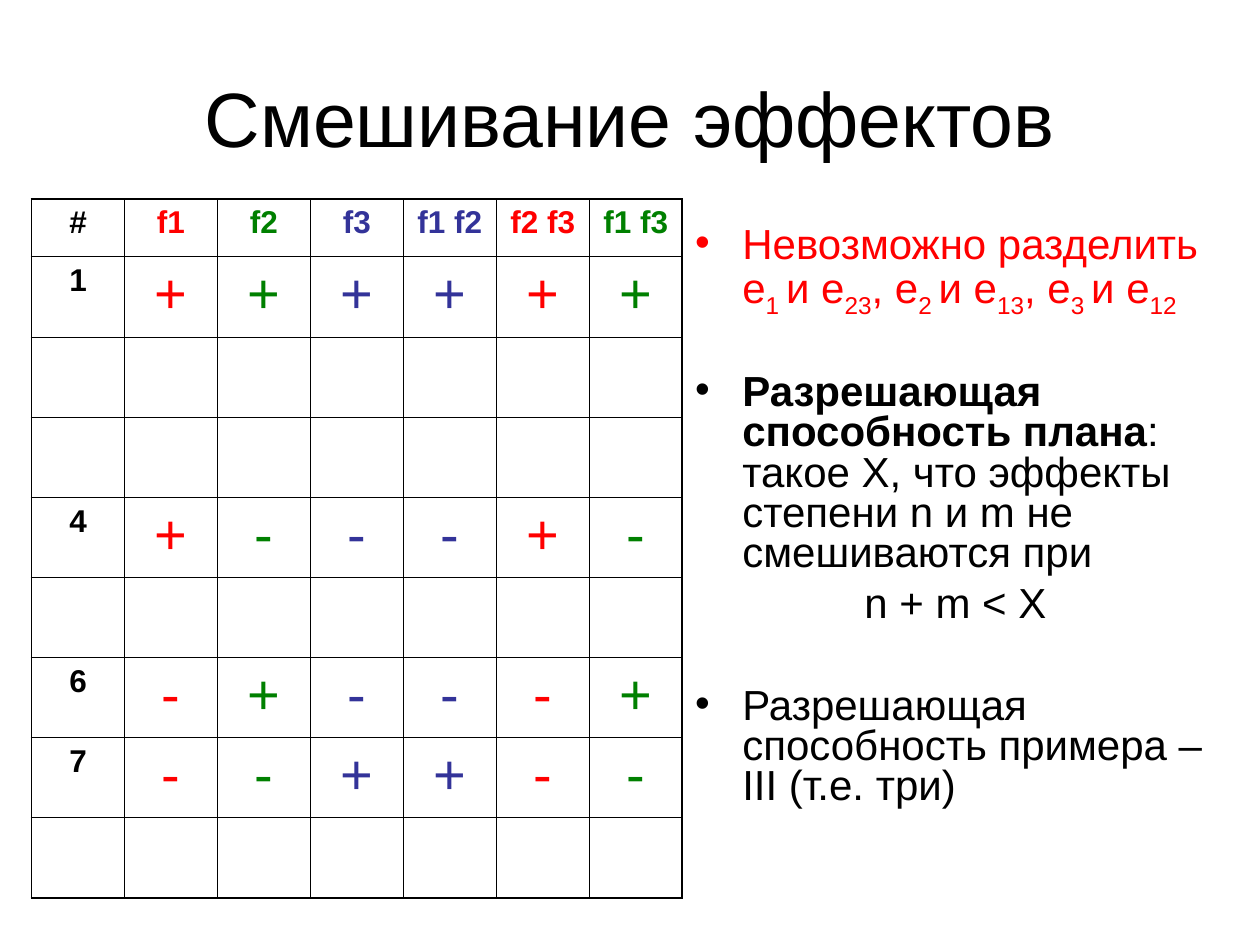
from lxml import etree
from pptx import Presentation
from pptx.dml.color import RGBColor
from pptx.enum import text
from pptx.oxml import ns
from pptx.util import Pt

FONT = "Arial"
BLACK, RED, GREEN, BLUE = "000000", "FF0000", "008000", "333399"

TITLE = "Смешивание эффектов"
COLUMN_COLORS = [BLACK, RED, GREEN, BLUE, BLUE, RED, GREEN]
BLANK = [""] * 7
PLAN = [
    ["#", "f1", "f2", "f3", "f1 f2", "f2 f3", "f1 f3"],
    ["1", *"++++++"],
    BLANK,
    BLANK,
    ["4", *"+---+-"],
    BLANK,
    ["6", *"-+---+"],
    ["7", *"--++--"],
    BLANK,
]
# (bulleted, colour, space before, [(words, style)])
NOTES = [
    (True, RED, 0, [
        ("Невозможно разделить e", ""), ("1 ", "sub"), ("и e", ""), ("23", "sub"),
        (", e", ""), ("2 ", "sub"), ("и e", ""), ("13", "sub"),
        (", e", ""), ("3 ", "sub"), ("и e", ""), ("12", "sub")]),
    (True, BLACK, 35, [
        ("Разрешающая способность плана", "bold"),
        (": такое X, что эффекты степени n и m не смешиваются при", "")]),
    (False, BLACK, 6, [("n + m < X", "")]),
    (True, BLACK, 35, [("Разрешающая способность примера – III (т.е. три)", "")]),
]

TABLE_LEFT, TABLE_TOP, TABLE_WIDTH = 18, 113.75, 372
HEADER_HEIGHT, ROW_HEIGHT = 33, 45.8
INNER_LINE, OUTER_LINE = 0.45, 1.08
HANG = 27


def color(code):
    return RGBColor.from_string(code)


def style(font, size, code, bold=False):
    font.name, font.size, font.bold = FONT, Pt(size), bold
    font.color.rgb = color(code)


def place(shape, left, top, width, height):
    shape.left, shape.top, shape.width, shape.height = map(Pt, (left, top, width, height))


def add_xml(parent, tag, **attributes):
    return etree.SubElement(parent, ns.qn(tag), attributes)


def set_bullet(para, bulleted, code):
    """Give the paragraph a hanging indent, with or without a bullet."""
    props = para._p.get_or_add_pPr()
    props.set("marL", str(Pt(HANG)))
    props.set("indent", str(-Pt(HANG)))
    if bulleted:
        add_xml(add_xml(props, "a:buClr"), "a:srgbClr", val=code)
        add_xml(props, "a:buFont", typeface=FONT)
        add_xml(props, "a:buChar", char="•")
    else:
        add_xml(props, "a:buNone")


def set_borders(cell, row, column):
    """Draw the cell's four edges, heavier on the outside of the table."""
    outer = {
        "L": column == 0,
        "R": column == len(COLUMN_COLORS) - 1,
        "T": row == 0,
        "B": row == len(PLAN) - 1,
    }
    props = cell._tc.get_or_add_tcPr()
    for side, is_outer in outer.items():
        width = Pt(OUTER_LINE if is_outer else INNER_LINE)
        line = add_xml(props, f"a:ln{side}", w=str(width))
        add_xml(add_xml(line, "a:solidFill"), "a:srgbClr", val=BLACK)


def add_title(page):
    title = page.shapes.title
    place(title, 36, 21.6, 648, 90)
    title.text_frame.text = TITLE
    title.text_frame.auto_size = text.MSO_AUTO_SIZE.NONE
    title.text_frame.vertical_anchor = text.MSO_ANCHOR.MIDDLE
    para = title.text_frame.paragraphs[0]
    para.alignment = text.PP_ALIGN.CENTER
    style(para.runs[0].font, 44, BLACK)


def add_notes_column(page):
    body = page.placeholders[1]
    place(body, 390, 126, 312, 378)
    frame = body.text_frame
    frame.auto_size = text.MSO_AUTO_SIZE.NONE
    for index, (bulleted, code, gap, spans) in enumerate(NOTES):
        para = frame.add_paragraph() if index else frame.paragraphs[0]
        para.line_spacing = 0.8
        para.space_before = Pt(gap)
        para.alignment = text.PP_ALIGN.LEFT if bulleted else text.PP_ALIGN.CENTER
        set_bullet(para, bulleted, code)
        for words, look in spans:
            span = para.add_run()
            span.text = words
            style(span.font, 24, code, look == "bold")
            if look == "sub":
                span._r.get_or_add_rPr().set("baseline", "-25000")


def add_plan_table(page):
    height = HEADER_HEIGHT + ROW_HEIGHT * (len(PLAN) - 1)
    frame = page.shapes.add_table(
        len(PLAN), len(COLUMN_COLORS),
        Pt(TABLE_LEFT), Pt(TABLE_TOP), Pt(TABLE_WIDTH), Pt(height))
    table = frame.table
    table.first_row = table.horz_banding = False
    for column in table.columns:
        column.width = Pt(TABLE_WIDTH / len(COLUMN_COLORS))
    for r, values in enumerate(PLAN):
        table.rows[r].height = Pt(ROW_HEIGHT if r else HEADER_HEIGHT)
        for c, value in enumerate(values):
            cell = table.cell(r, c)
            set_borders(cell, r, c)
            cell.fill.background()
            if value:
                is_label = r == 0 or c == 0
                cell.text_frame.text = value
                para = cell.text_frame.paragraphs[0]
                para.alignment = text.PP_ALIGN.CENTER
                style(para.runs[0].font, 18 if is_label else 32, COLUMN_COLORS[c], is_label)


def main():
    deck = Presentation()
    deck.slide_width, deck.slide_height = Pt(720), Pt(540)
    page = deck.slides.add_slide(deck.slide_layouts[1])
    add_title(page)
    add_notes_column(page)
    add_plan_table(page)
    deck.save("out.pptx")


if __name__ == "__main__":
    main()
